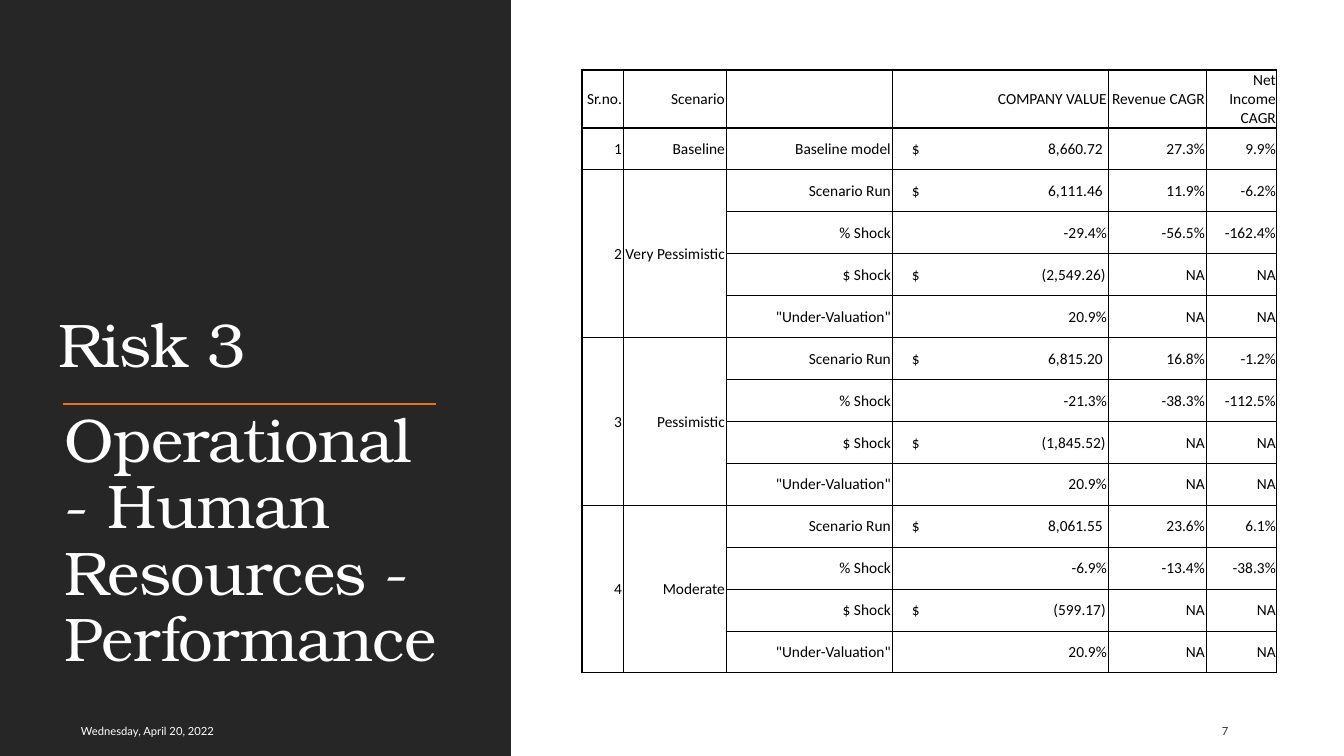
from lxml import etree
from pptx import Presentation, util as u
from pptx.dml.color import RGBColor
from pptx.enum import shapes, text
from pptx.oxml.ns import qn

# Content
TITLE = "Risk 3"
SUBTITLE = "Operational - Human Resources - Performance"
DATE, PAGE = "Wednesday, April 20, 2022", "7"
HEADER = ["Sr.no.", "Scenario", "", "COMPANY VALUE", "Revenue CAGR", "Net Income CAGR"]
MEASURES = ["Scenario Run", "% Shock", "$ Shock", '"Under-Valuation"']
# Scenario, then (label, company value, revenue CAGR, net income CAGR) rows
SCENARIOS = [("Baseline", [("Baseline model", "$8,660.72", "27.3%", "9.9%")])]
SHOCKS = [
    ("Very Pessimistic", ("$6,111.46", "11.9%", "-6.2%"), ("-29.4%", "-56.5%", "-162.4%"), "$(2,549.26)"),
    ("Pessimistic", ("$6,815.20", "16.8%", "-1.2%"), ("-21.3%", "-38.3%", "-112.5%"), "$(1,845.52)"),
    ("Moderate", ("$8,061.55", "23.6%", "6.1%"), ("-6.9%", "-13.4%", "-38.3%"), "$(599.17)"),
]
for scenario, run, percent, dollars in SHOCKS:
    figures = [run, percent, (dollars, "NA", "NA"), ("20.9%", "NA", "NA")]
    SCENARIOS.append((scenario, [(m, *f) for m, f in zip(MEASURES, figures)]))

COLORS = {"panel": "262626", "white": "FFFFFF", "rule": "EC7016", "page": "39302A", "ink": "000000"}
PANEL_W, RULE_Y = 511, 404
TABLE_X, TABLE_Y = 582, 70
COLUMNS = [41, 103, 166, 216, 98, 71]
HEADER_H, BODY_H = 58, 545
DOLLAR_INDENT = 20


def px(n):
    return u.Emu(round(n * 914400 / 100.8))


def color(name):
    return RGBColor.from_string(COLORS[name])


def style(paragraph, face, size, ink):
    paragraph.font.name = face
    paragraph.font.size = u.Pt(size)
    paragraph.font.color.rgb = color(ink)


def heading(frame, words):
    frame.word_wrap = True
    frame.auto_size = text.MSO_AUTO_SIZE.NONE
    frame.text = words
    p = frame.paragraphs[0]
    p.alignment = text.PP_ALIGN.LEFT
    p.line_spacing = 0.9
    style(p, "TeX Gyre Bonum", 44, "white")
    p._p.pPr.find(qn("a:defRPr")).set("spc", "-50")


def footer(words, x, width, ink):
    frame = slide.shapes.add_textbox(px(x), px(711), px(width), px(40)).text_frame
    frame.word_wrap = True
    frame.vertical_anchor = text.MSO_ANCHOR.MIDDLE
    frame.text = words
    style(frame.paragraphs[0], "Lato", 8, ink)


def borders(cell, widths):
    """Draw the sides given as {side: points}, sides in L, R, T, B order."""
    props = cell._tc.get_or_add_tcPr()
    for i, (side, points) in enumerate(widths.items()):
        line = etree.Element(qn("a:ln" + side), w=str(u.Pt(points)))
        fill = etree.SubElement(line, qn("a:solidFill"))
        etree.SubElement(fill, qn("a:srgbClr"), val=COLORS["ink"])
        props.insert(i, line)


def write(cell, words):
    cell.fill.background()
    cell.vertical_anchor = text.MSO_ANCHOR.MIDDLE
    cell.margin_left = cell.margin_right = cell.margin_top = px(1)
    cell.margin_bottom = 0
    p = cell.text_frame.paragraphs[0]
    p.alignment = text.PP_ALIGN.RIGHT
    if words.startswith("$") and words != "$ Shock":
        # Dollar sign at the left, amount at a right tab
        amount = words[1:]
        cell.margin_left = px(DOLLAR_INDENT)
        p.alignment = text.PP_ALIGN.LEFT
        stop = COLUMNS[3] - DOLLAR_INDENT - (2 if amount.endswith(")") else 5)
        tabs = etree.SubElement(p._p.get_or_add_pPr(), qn("a:tabLst"))
        etree.SubElement(tabs, qn("a:tab"), pos=str(px(stop)), algn="r")
        words = "$\t" + amount
    if words:
        p.add_run().text = words
    style(p, "Calibri", 11, "ink")


prs = Presentation()
prs.slide_width, prs.slide_height = px(1344), px(756)
slide = prs.slides.add_slide(prs.slide_layouts[5])

# Dark panel, placed behind the title
panel = slide.shapes.add_shape(shapes.MSO_SHAPE.RECTANGLE, 0, 0, px(PANEL_W), px(756))
panel.shadow.inherit = False
panel.fill.solid()
panel.fill.fore_color.rgb = color("panel")
panel.line.fill.background()
slide.shapes._spTree.insert(2, panel._element)

# Title, rule and subtitle
title = slide.shapes.title
title.left, title.top, title.width, title.height = px(48), px(71), px(403), px(315)
heading(title.text_frame, TITLE)
title.text_frame.vertical_anchor = text.MSO_ANCHOR.BOTTOM

rule = slide.shapes.add_connector(shapes.MSO_CONNECTOR.STRAIGHT, px(63), px(RULE_Y), px(436), px(RULE_Y))
rule.line.color.rgb = color("rule")
rule.line.width = u.Pt(1.5)
etree.SubElement(rule._element.spPr, qn("a:effectLst"))

subtitle = slide.shapes.add_textbox(px(55), px(RULE_Y), px(403), px(315))
heading(subtitle.text_frame, SUBTITLE)

# Footer
footer(DATE, 71, 388, "white")
footer(PAGE, 1212, 86, "page")

# Scenario table
rows, groups = [HEADER], [(0, 0)]
for number, (scenario, figures) in enumerate(SCENARIOS, 1):
    groups.append((len(rows), len(rows) + len(figures) - 1))
    for i, figure in enumerate(figures):
        rows.append([*((str(number), scenario) if i == 0 else ("", "")), *figure])

table = slide.shapes.add_table(len(rows), len(COLUMNS), px(TABLE_X), px(TABLE_Y),
                               px(sum(COLUMNS)), px(HEADER_H + BODY_H)).table
table.first_row = table.horz_banding = False
for column, width in zip(table.columns, COLUMNS):
    column.width = px(width)
for r, row in enumerate(table.rows):
    row.height = px(HEADER_H if r == 0 else BODY_H / (len(rows) - 1))

for first, last in groups:
    for c in range(len(COLUMNS)):
        if c < 2 and last > first:
            table.cell(first, c).merge(table.cell(last, c))
        for r in range(first, last + 1):
            cell = table.cell(r, c)
            write(cell, rows[r][c])
            widths = {"L": 1 if c == 0 else 0.5, "R": 1 if c == len(COLUMNS) - 1 else 0.5}
            if r == first or c >= 2:
                widths["T"] = 1 if r == first else 0.5
            if r == last or c >= 2 or cell.is_merge_origin:
                widths["B"] = 1 if r == last or c < 2 else 0.5
            borders(cell, widths)

prs.save("out.pptx")
